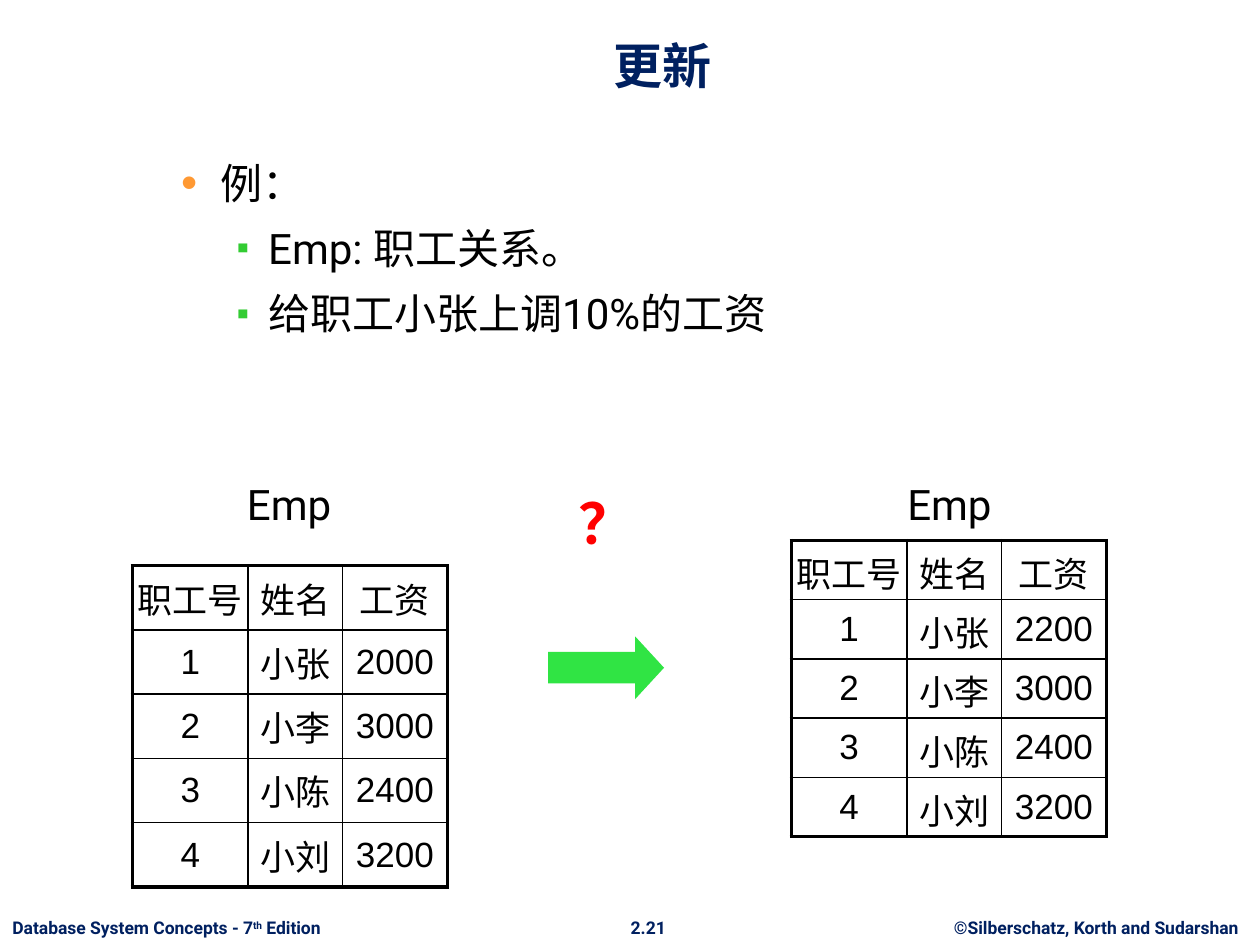
import pptx
import pptx.util
import pptx.dml.color
import pptx.enum.shapes
import pptx.enum.text
import pptx.oxml
import pptx.oxml.ns
from dataclasses import dataclass

Inches = pptx.util.Inches
Pt = pptx.util.Pt
Align = pptx.enum.text.PP_ALIGN
Anchor = pptx.enum.text.MSO_ANCHOR


@dataclass(frozen=True)
class Theme:
    font: str = "Roboto"
    table_font: str = "Arial"
    navy: str = "002060"
    black: str = "000000"
    white: str = "FFFFFF"
    red: str = "FF0000"
    arrow: str = "30E444"
    bullet: str = "FF9933"
    sub_bullet: str = "33CC33"
    title_size: int = 28
    body_size: int = 24
    table_size: int = 20
    mark_size: int = 32
    footer_size: int = 10
    outer_line: float = 2.25
    inner_line: float = 1


def rgb(value):
    return pptx.dml.color.RGBColor.from_string(value)


def element(xml):
    return pptx.oxml.parse_xml(xml.replace(">", f" {pptx.oxml.ns.nsdecls('a')}>", 1))


class SlideBuilder:
    def __init__(self, slide, theme):
        self.slide = slide
        self.theme = theme

    def run(self, paragraph, words, size, color, bold=False, font=None):
        run = paragraph.add_run()
        run.text = words
        run.font.name = font or self.theme.font
        run.font.size = Pt(size)
        run.font.bold = bold
        run.font.color.rgb = rgb(color)
        return run

    def frame(self, box, wrap=True, anchor=Anchor.TOP):
        frame = self.slide.shapes.add_textbox(*map(Inches, box)).text_frame
        frame.word_wrap = wrap
        frame.vertical_anchor = anchor
        return frame

    def label(self, box, words, size, color, bold=False, wrap=True,
              anchor=Anchor.TOP, align=Align.CENTER, before=0.5, spacing=None):
        paragraph = self.frame(box, wrap, anchor).paragraphs[0]
        paragraph.alignment = align
        paragraph.space_before = Pt(size * before)
        paragraph.line_spacing = spacing
        self.run(paragraph, words, size, color, bold)
        return paragraph

    def footer(self, box, words, align=Align.CENTER):
        return self.label(box, words, self.theme.footer_size, self.theme.navy,
                          bold=True, wrap=False, align=align)

    def bullets(self, box, items):
        theme = self.theme
        levels = [(0.81, -0.31, theme.bullet, 110, "•"),
                  (1.19, -0.25, theme.sub_bullet, 85, "▪")]
        frame = self.frame(box)
        for index, (level, words) in enumerate(items):
            margin, indent, color, percent, symbol = levels[level]
            paragraph = frame.add_paragraph() if index else frame.paragraphs[0]
            paragraph.level = level
            paragraph.space_before = Pt(theme.body_size * 0.35)
            properties = paragraph._p.get_or_add_pPr()
            properties.set("marL", str(Inches(margin)))
            properties.set("indent", str(Inches(indent)))
            for xml in (f'<a:buClr><a:srgbClr val="{color}"/></a:buClr>',
                        f'<a:buSzPct val="{percent}000"></a:buSzPct>',
                        '<a:buFont typeface="Arial"></a:buFont>',
                        f'<a:buChar char="{symbol}"></a:buChar>'):
                properties.append(element(xml))
            self.run(paragraph, words, theme.body_size, theme.black)

    def borders(self, cell, outer_sides):
        properties = cell._tc.get_or_add_tcPr()
        for position, side in enumerate("LRTB"):
            width = self.theme.outer_line if side in outer_sides else self.theme.inner_line
            properties.insert(position, element(
                f'<a:ln{side} w="{Pt(width)}"><a:solidFill>'
                f'<a:srgbClr val="{self.theme.black}"/></a:solidFill></a:ln{side}>'))

    def table(self, left, top, row_height, rows):
        theme = self.theme
        widths = [0.92, 0.75, 0.83]
        table = self.slide.shapes.add_table(
            len(rows), len(widths), Inches(left), Inches(top),
            Inches(sum(widths)), Inches(row_height * len(rows))).table
        table.first_row = table.horz_banding = False
        for column, width in zip(table.columns, widths):
            column.width = Inches(width)
        for r, values in enumerate(rows):
            table.rows[r].height = Inches(row_height)
            for c, value in enumerate(values):
                cell = table.cell(r, c)
                cell.margin_left = cell.margin_right = 0
                cell.margin_top = cell.margin_bottom = Inches(0.05)
                cell.vertical_anchor = Anchor.MIDDLE
                if r == 0:
                    cell.fill.solid()
                    cell.fill.fore_color.rgb = rgb(theme.white)
                else:
                    cell.fill.background()
                edges = {"L": c == 0, "R": c == len(widths) - 1,
                         "T": r == 0, "B": r == len(rows) - 1}
                self.borders(cell, [side for side, outer in edges.items() if outer])
                paragraph = cell.text_frame.paragraphs[0]
                paragraph.alignment = Align.CENTER
                paragraph.space_before = Pt(theme.table_size * 0.35)
                self.run(paragraph, value, theme.table_size, theme.black,
                         font=theme.table_font)

    def arrow(self, box):
        arrow = self.slide.shapes.add_shape(
            pptx.enum.shapes.MSO_SHAPE.RIGHT_ARROW, *map(Inches, box))
        arrow.adjustments[0] = 0.5
        arrow.adjustments[1] = 0.46
        arrow.shadow.inherit = False
        arrow.fill.solid()
        arrow.fill.fore_color.rgb = rgb(self.theme.arrow)
        arrow.line.fill.background()


def employees(zhang_salary):
    return [("职工号", "姓名", "工资"),
            ("1", "小张", zhang_salary),
            ("2", "小李", "3000"),
            ("3", "小陈", "2400"),
            ("4", "小刘", "3200")]


def main():
    theme = Theme()
    deck = pptx.Presentation()
    deck.slide_width, deck.slide_height = Inches(10), Inches(7.5)
    builder = SlideBuilder(deck.slides.add_slide(deck.slide_layouts[6]), theme)

    builder.footer((7.4, 7.23, 2.6, 0.27), "©Silberschatz, Korth and Sudarshan")
    builder.footer((4.9, 7.23, 0.49, 0.27), "2.21")
    edition = builder.footer((0, 7.23, 2.81, 0.27), "Database System Concepts - 7", Align.LEFT)
    ordinal = builder.run(edition, "th", theme.footer_size, theme.navy, bold=True)
    ordinal._r.get_or_add_rPr().set("baseline", "30000")
    builder.run(edition, " Edition", theme.footer_size, theme.navy, bold=True)

    builder.label((0.84, 0.13, 8.83, 0.67), "更新", theme.title_size, theme.navy,
                  bold=True, anchor=Anchor.BOTTOM, before=0)
    builder.bullets((0.84, 1.2, 8.43, 5.36), [
        (0, "例："),
        (1, "Emp: 职工关系。"),
        (1, "给职工小张上调10%的工资")])

    builder.table(1.05, 4.49, 0.51, employees("2000"))
    builder.label((1.81, 3.75, 0.97, 0.51), "Emp", theme.body_size, theme.black)
    builder.arrow((4.35, 5.05, 0.92, 0.5))
    builder.table(6.28, 4.29, 0.47, employees("2200"))
    builder.label((7.04, 3.75, 0.99, 0.51), "Emp", theme.body_size, theme.black)
    builder.label((4.49, 3.75, 0.65, 0.65), "？", theme.mark_size, theme.red,
                  bold=True, wrap=False, before=0.3, spacing=1.15)

    deck.save("out.pptx")


if __name__ == "__main__":
    main()
